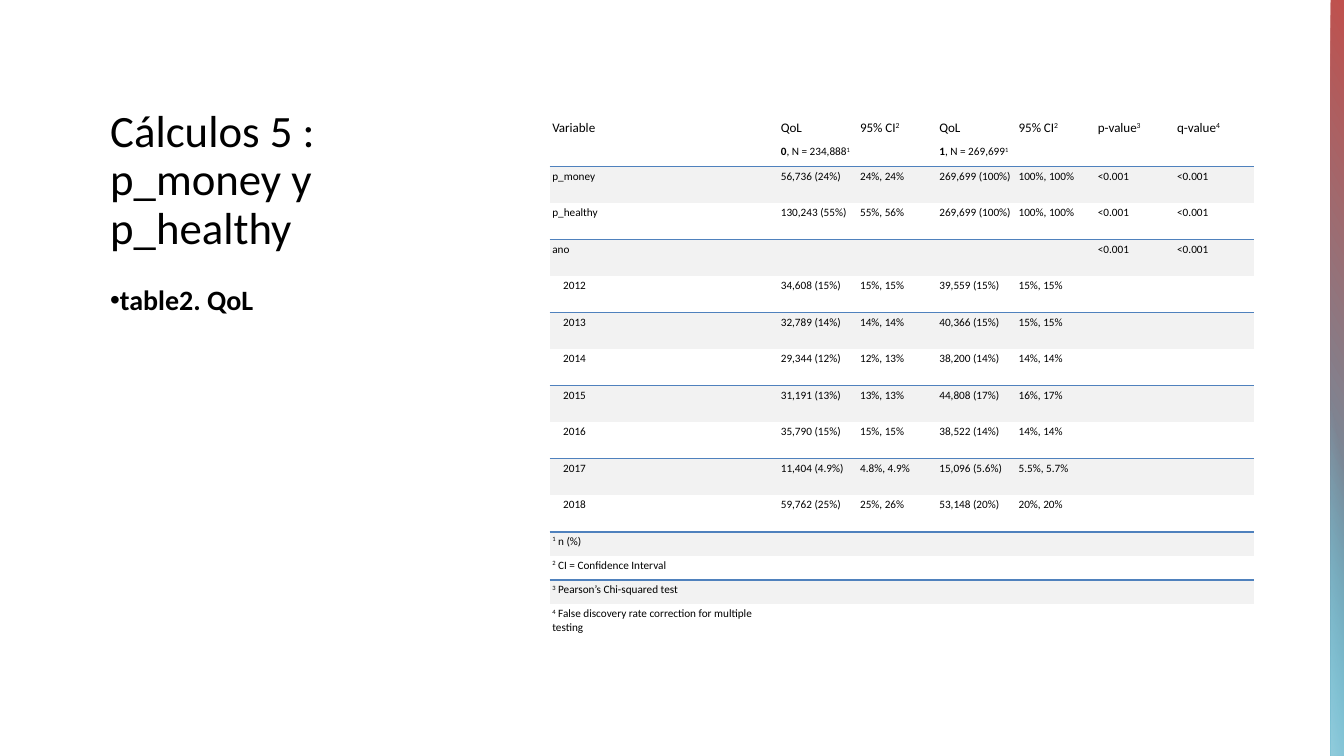
from dataclasses import dataclass

from pptx import Presentation
from pptx import oxml
from pptx import util as u
from pptx.dml import color
from pptx.enum import shapes, text
from pptx.oxml import ns


@dataclass(frozen=True)
class Theme:
    font: str = "Calibri"
    ink: str = "000000"
    rule: str = "4F81BD"
    band: str = "F2F2F2"
    red: str = "C0504D"
    teal: str = "4BACC6"
    pale_teal: str = "93CDDD"
    title: float = 24
    body: float = 15
    header: float = 7
    cell: float = 6
    rule_width: float = 1


THEME = Theme()
NO_GRID_STYLE = "{2D5ABB26-0587-4C30-8999-92F81FD0307C}"
SUP, BOLD = "superscript", "bold"
YEAR_INDENT = 0.08
TABLE_HEIGHT = 3.92

HEADER = [
    ["Variable"],
    ["QoL"],
    ["95% CI", ("2", SUP)],
    ["QoL"],
    ["95% CI", ("2", SUP)],
    ["p-value", ("3", SUP)],
    ["q-value", ("4", SUP)],
]
GROUPS = [
    [],
    [("0", BOLD), ", N = 234,888", ("1", SUP)],
    [],
    [("1", BOLD), ", N = 269,699", ("1", SUP)],
]
RESULTS = [
    ("p_money", "56,736 (24%)", "24%, 24%", "269,699 (100%)", "100%, 100%", "<0.001", "<0.001"),
    ("p_healthy", "130,243 (55%)", "55%, 56%", "269,699 (100%)", "100%, 100%", "<0.001", "<0.001"),
    ("ano", "", "", "", "", "<0.001", "<0.001"),
    ("2012", "34,608 (15%)", "15%, 15%", "39,559 (15%)", "15%, 15%"),
    ("2013", "32,789 (14%)", "14%, 14%", "40,366 (15%)", "15%, 15%"),
    ("2014", "29,344 (12%)", "12%, 13%", "38,200 (14%)", "14%, 14%"),
    ("2015", "31,191 (13%)", "13%, 13%", "44,808 (17%)", "16%, 17%"),
    ("2016", "35,790 (15%)", "15%, 15%", "38,522 (14%)", "14%, 14%"),
    ("2017", "11,404 (4.9%)", "4.8%, 4.9%", "15,096 (5.6%)", "5.5%, 5.7%"),
    ("2018", "59,762 (25%)", "25%, 26%", "53,148 (20%)", "20%, 20%"),
]
FOOTNOTES = [
    "n (%)",
    "CI = Confidence Interval",
    "Pearson’s Chi-squared test",
    "False discovery rate correction for multiple testing",
]


def rgb(value):
    return color.RGBColor.from_string(value)


def place(shape, left, top, width, height):
    shape.left, shape.top = u.Inches(left), u.Inches(top)
    shape.width, shape.height = u.Inches(width), u.Inches(height)


def add_span(para, words, size, style=None):
    span = para.add_run()
    span.text = words
    span.font.name = THEME.font
    span.font.size = u.Pt(size)
    span.font.color.rgb = rgb(THEME.ink)
    span.font.bold = style == BOLD
    if style == SUP:
        span.font._element.set("baseline", "30000")


def fill_placeholder(box, area, words, size, style=None):
    place(box, *area)
    frame = box.text_frame
    frame.word_wrap = True
    frame.auto_size = text.MSO_AUTO_SIZE.NONE
    para = frame.paragraphs[0]
    para.alignment = text.PP_ALIGN.LEFT
    para.line_spacing = 0.9
    para.space_before = u.Pt(0)
    add_span(para, words, size, style)
    return frame


def add_title(page):
    frame = fill_placeholder(page.shapes.title, (0.72, 0.61, 2.83, 1.33),
                             "Cálculos 5 : p_money y p_healthy", THEME.title)
    frame.vertical_anchor = text.MSO_ANCHOR.BOTTOM


def add_list(page):
    frame = fill_placeholder(page.placeholders[1], (0.72, 2.08, 2.83, 2.83),
                             "table2. QoL", THEME.body, BOLD)
    frame.vertical_anchor = text.MSO_ANCHOR.TOP
    para = frame.paragraphs[0]
    para.space_after = u.Pt(6)
    settings = para._p.get_or_add_pPr()
    settings.set("marL", "0")
    settings.set("indent", str(u.Inches(-0.25)))
    settings.append(settings.makeelement(ns.qn("a:buChar"), {"char": "•"}))


def add_gradient_bar(group, top, bottom, stops, angle):
    bar = group.shapes.add_shape(shapes.MSO_SHAPE.RECTANGLE, u.Inches(9.9), top,
                                 u.Inches(0.1), bottom - top)
    bar.shadow.inherit = False
    bar.line.fill.background()
    bar.fill.gradient()
    bar.fill.gradient_angle = 360 - angle
    for stop, (position, value, opacity) in zip(bar.fill.gradient_stops, stops):
        stop.position = position
        stop.color.rgb = rgb(value)
    properties = bar._element.spPr
    properties.find(ns.qn("a:xfrm")).set("flipH", "1")
    for tint, (position, value, opacity) in zip(properties.iter(ns.qn("a:srgbClr")), stops):
        if opacity < 1:
            tint.append(tint.makeelement(ns.qn("a:alpha"), {"val": str(int(opacity * 100000))}))


def add_side_bar(page, bottom):
    group = page.shapes.add_group_shape()
    add_gradient_bar(group, 0, bottom, [(0, THEME.red, 1), (1, THEME.teal, 1)], 30)
    add_gradient_bar(group, u.Inches(2.89), bottom,
                     [(0.19, THEME.pale_teal, 0), (1, THEME.pale_teal, 1)], 10)


def set_rules(cell, ruled_edge):
    solid = f'<a:solidFill><a:srgbClr val="{THEME.rule}"/></a:solidFill>'
    properties = cell._tc.get_or_add_tcPr()
    for order, edge in enumerate(("lnL", "lnR", "lnT", "lnB")):
        paint = solid if edge == ruled_edge else "<a:noFill/>"
        properties.insert(order, oxml.parse_xml(
            f'<a:{edge} {ns.nsdecls("a")} w="{u.Pt(THEME.rule_width)}">{paint}</a:{edge}>'))


def fill_cell(cell, spans, size, banded, indent=0):
    cell.margin_left = u.Inches(0.02 + indent)
    cell.margin_right = cell.margin_top = u.Inches(0.02)
    cell.margin_bottom = u.Inches(0.05)
    para = cell.text_frame.paragraphs[0]
    for span in spans:
        words, style = (span, None) if isinstance(span, str) else span
        add_span(para, words, size, style)
    if not spans:
        para._p.append(para._p.makeelement(ns.qn("a:endParaRPr"), {"sz": str(int(size * 100))}))
    if banded:
        cell.fill.solid()
        cell.fill.fore_color.rgb = rgb(THEME.band)
    else:
        cell.fill.background()


def table_rows():
    results = [[[words] if words else [] for words in row] for row in RESULTS]
    notes = [[[(str(number), SUP), " " + note]] for number, note in enumerate(FOOTNOTES, 1)]
    return [HEADER, GROUPS] + results + notes


def row_heights():
    header, short, short_count = 0.21, 0.18, 4
    tall_count = len(RESULTS) + 1
    tall = (TABLE_HEIGHT - header - short * short_count) / tall_count
    return [header, short] + [tall] * len(RESULTS) + [short] * 3 + [tall]


def add_results_table(page):
    rows = table_rows()
    widths = [1.7] + [0.59] * 6
    frame = page.shapes.add_table(len(rows), len(widths), u.Inches(4.09), u.Inches(0.85),
                                  u.Inches(sum(widths)), u.Inches(TABLE_HEIGHT))
    table = frame.table
    table.first_row = table.horz_banding = False
    table._tbl.tblPr.find(ns.qn("a:tableStyleId")).text = NO_GRID_STYLE
    for column, width in zip(table.columns, widths):
        column.width = u.Inches(width)
    for index, (row, height) in enumerate(zip(rows, row_heights())):
        table.rows[index].height = u.Inches(height)
        size = THEME.header if index == 0 else THEME.cell
        banded = index >= 2 and index % 2 == 0
        plain = index in (0, len(rows) - 1)
        ruled_edge = None if plain else "lnT" if banded else "lnB"
        for position in range(len(widths)):
            spans = row[position] if position < len(row) else []
            is_year = position == 0 and spans and str(spans[0]).isdigit()
            cell = table.cell(index, position)
            fill_cell(cell, spans, size, banded, YEAR_INDENT if is_year else 0)
            set_rules(cell, ruled_edge)
            if index == 0:
                cell.vertical_anchor = text.MSO_ANCHOR.BOTTOM


def main():
    deck = Presentation()
    deck.slide_width = u.Inches(10)
    deck.slide_height = deck.slide_width * 9 // 16
    page = deck.slides.add_slide(deck.slide_layouts[1])
    add_title(page)
    add_list(page)
    add_side_bar(page, deck.slide_height)
    add_results_table(page)
    deck.save("out.pptx")


if __name__ == "__main__":
    main()
